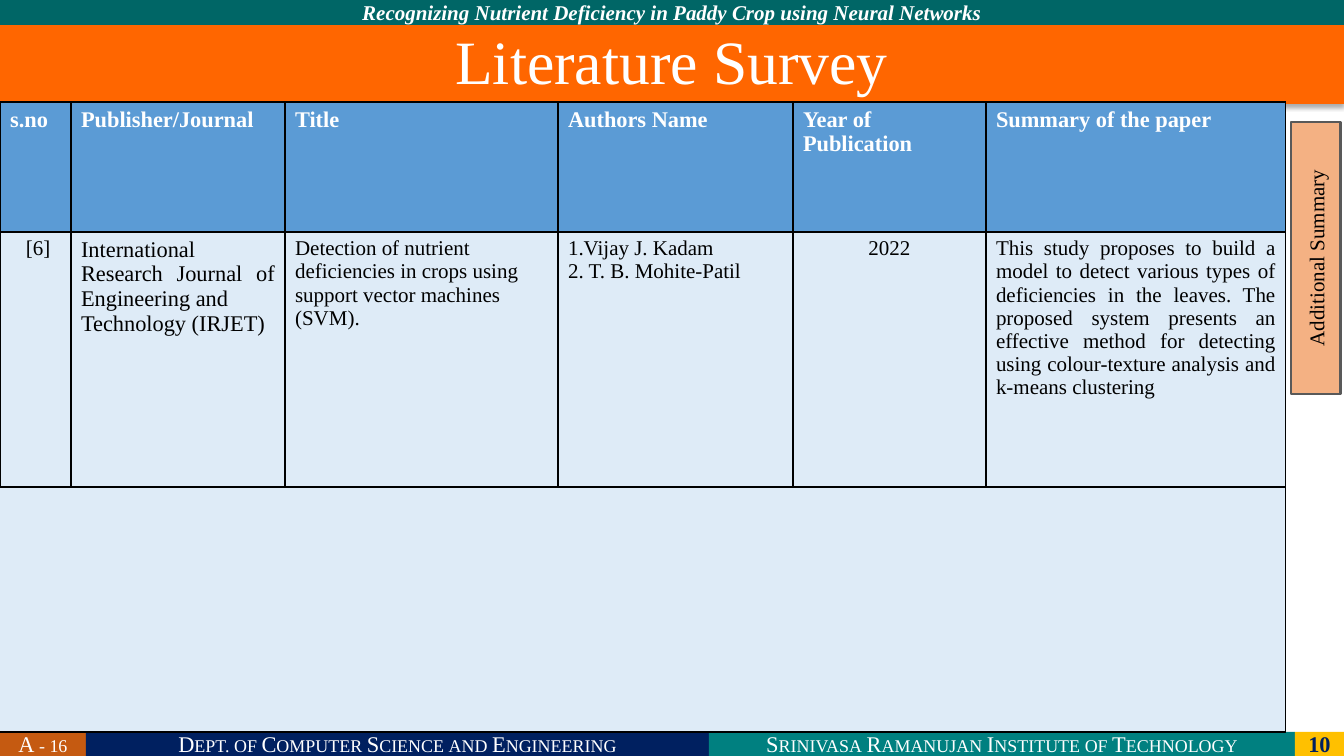
from lxml import etree
from pptx import Presentation
from pptx import util as u
from pptx.dml.color import RGBColor
from pptx.enum import shapes, text
from pptx.oxml import parse_xml
from pptx.oxml.ns import nsdecls, qn

PX = 914400 / 100.8
WHITE = RGBColor(0xFF, 0xFF, 0xFF)
BLACK = RGBColor(0, 0, 0)
NAVY = RGBColor(0x00, 0x20, 0x60)
TEAL = RGBColor(0x00, 0x80, 0x80)
DARK_TEAL = RGBColor(0x00, 0x66, 0x66)
AMBER = RGBColor(0xFF, 0xC0, 0x00)
RUST = RGBColor(0xC5, 0x5A, 0x11)
ORANGE = RGBColor(0xFF, 0x66, 0x00)
BLUE = RGBColor(0x5B, 0x9B, 0xD5)
PALE_BLUE = RGBColor(0xDE, 0xEB, 0xF7)
PEACH = RGBColor(0xF4, 0xB1, 0x83)
GREY = RGBColor(0x59, 0x59, 0x59)
LEFT, CENTER, JUSTIFY = text.PP_ALIGN.LEFT, text.PP_ALIGN.CENTER, text.PP_ALIGN.JUSTIFY


def px(n):
    return u.Emu(round(n * PX))


def write(frame, lines, size, color, align=CENTER, small_caps=False, **style):
    for i, line in enumerate(lines):
        para = frame.paragraphs[0] if i == 0 else frame.add_paragraph()
        para.alignment = align
        run = para.add_run()
        run.text = line
        run.font.color.rgb = color
        look = {"name": "Times New Roman", "size": u.Pt(size), "bold": False, **style}
        for key, value in look.items():
            setattr(run.font, key, value)
        if small_caps:
            run.font._rPr.set("cap", "small")


prs = Presentation()
prs.slide_width, prs.slide_height = px(1344), px(756)
slide = prs.slides.add_slide(prs.slide_layouts[5])

caps = {"size": 16, "color": WHITE, "small_caps": True}
bars = [
    (0, 0, 1344, 25, DARK_TEAL, "Recognizing Nutrient Deficiency in Paddy Crop using Neural Networks",
     {"size": 15, "color": WHITE, "bold": True, "italic": True}),
    (0, 732, 86, 24, RUST, "A - 16", caps),
    (86, 732, 623, 24, NAVY, "Dept. of Computer Science and Engineering", caps),
    (709, 732, 586, 24, TEAL, "Srinivasa Ramanujan Institute of Technology", caps),
    (1295, 732, 49, 24, AMBER, "10", {"size": 16, "color": NAVY, "bold": True}),
    (1180, 233, 272, 50, PEACH, "Additional Summary", {"size": 15, "color": BLACK}),
]
for x, y, w, h, color, label, style in bars:
    bar = slide.shapes.add_shape(shapes.MSO_SHAPE.RECTANGLE, px(x), px(y), px(w), px(h))
    bar.shadow.inherit = False
    bar.fill.solid()
    bar.fill.fore_color.rgb = color
    bar.line.fill.background()
    bar.text_frame.word_wrap = True
    bar.text_frame.vertical_anchor = text.MSO_ANCHOR.MIDDLE
    write(bar.text_frame, [label], **style)
side_tab = bar
side_tab.rotation = 270
side_tab.line.color.rgb = GREY
side_tab.line.width = u.Pt(2)

heading = slide.shapes.title
for key, value in {"left": 0, "top": 25, "width": 1344, "height": 79}.items():
    setattr(heading, key, px(value))
heading.fill.solid()
heading.fill.fore_color.rgb = ORANGE
heading.text_frame.auto_size = text.MSO_AUTO_SIZE.NONE
heading.text_frame.vertical_anchor = text.MSO_ANCHOR.MIDDLE
write(heading.text_frame, ["Literature Survey"], 44, WHITE)
heading.text_frame.paragraphs[0].line_spacing = 0.9
heading._element.spPr.append(parse_xml(
    f'<a:effectLst {nsdecls("a")}><a:outerShdw blurRad="44450" dist="27940" dir="5400000" '
    'algn="ctr" rotWithShape="0"><a:srgbClr val="000000"><a:alpha val="32000"/></a:srgbClr>'
    '</a:outerShdw></a:effectLst>'))

headers = ["s.no", "Publisher/Journal", "Title", "Authors Name", "Year of Publication",
           "Summary of the paper"]
paper = [
    ([" [6]"], 15, CENTER),
    (["International Research Journal of Engineering and", "Technology (IRJET)"], 16, JUSTIFY),
    (["Detection of nutrient deficiencies in crops using support vector machines (SVM)."], 15, LEFT),
    (["1.Vijay J. Kadam", "2. T. B. Mohite-Patil"], 15, LEFT),
    (["2022"], 15, CENTER),
    (["This study proposes to build a model to detect various types of deficiencies in the leaves. "
      "The proposed system presents an effective method for detecting using colour-texture analysis "
      "and k-means clustering"], 15, JUSTIFY),
]
widths, heights = [71, 214, 273, 235, 193, 300], [130, 255, 245]
survey = slide.shapes.add_table(3, 6, 0, px(102), px(sum(widths)), px(sum(heights))).table
for column, width in zip(survey.columns, widths):
    column.width = px(width)
for row, height in zip(survey.rows, heights):
    row.height = px(height)
survey.cell(2, 0).merge(survey.cell(2, 5))

for col, (header, (lines, size, align)) in enumerate(zip(headers, paper)):
    write(survey.cell(0, col).text_frame, [header], 16, WHITE, LEFT, bold=True)
    write(survey.cell(1, col).text_frame, lines, size, BLACK, align)

for r in range(3):
    for c in range(6):
        cell = survey.cell(r, c)
        props = cell._tc.get_or_add_tcPr()
        for side in ("lnL", "lnR", "lnT", "lnB"):
            edge = etree.SubElement(props, qn(f"a:{side}"), w="12700")
            if r == 2 and side == "lnL":
                etree.SubElement(edge, qn("a:noFill"))
            else:
                ink = etree.SubElement(edge, qn("a:solidFill"))
                etree.SubElement(ink, qn("a:srgbClr"), val="000000")
        cell.fill.solid()
        cell.fill.fore_color.rgb = BLUE if r == 0 else PALE_BLUE

prs.save("out.pptx")
